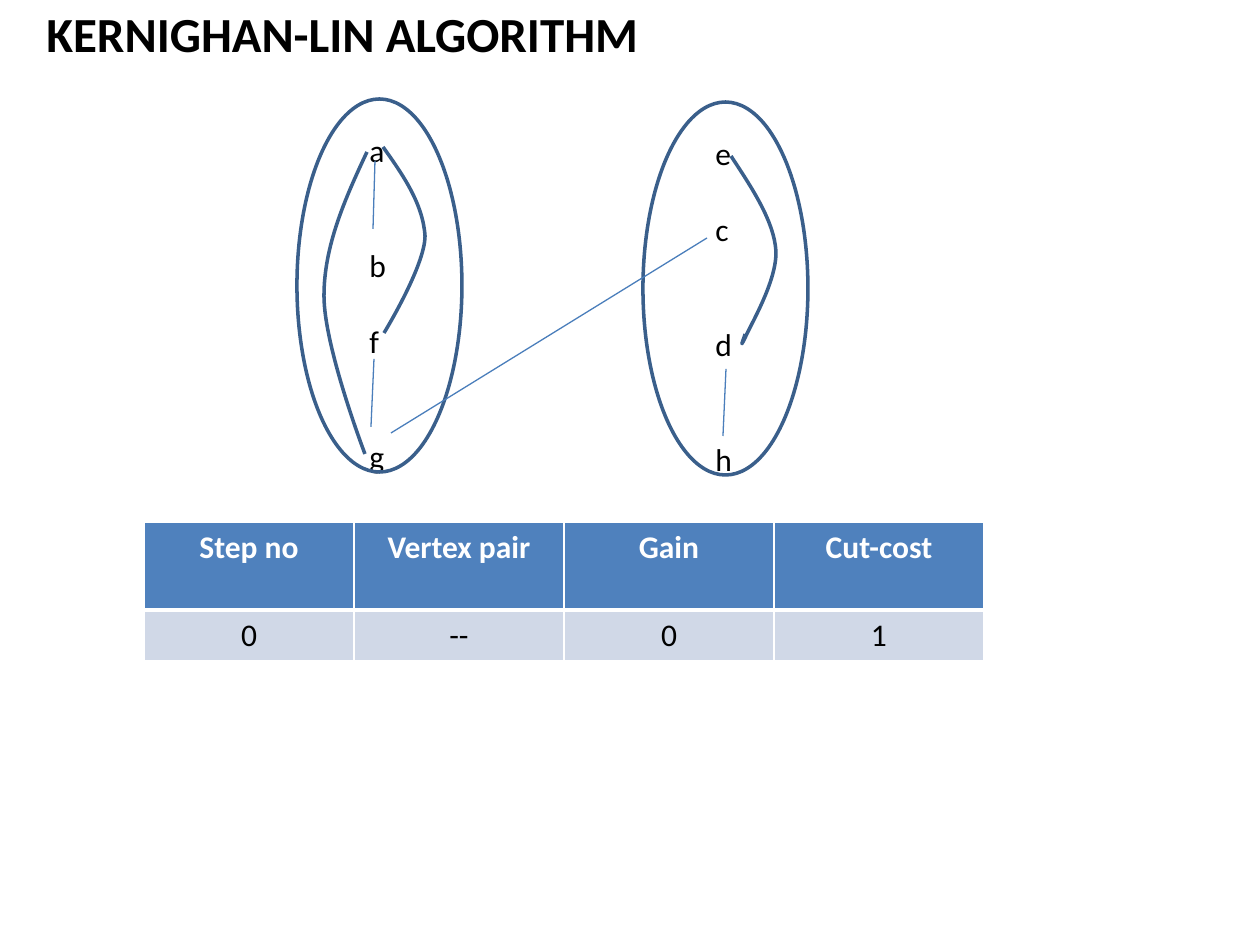
from typing import NamedTuple

from lxml.etree import SubElement
from pptx import Presentation
from pptx.dml.color import RGBColor as RGB
from pptx.enum.shapes import MSO_CONNECTOR as CONN, MSO_SHAPE as SHAPE
from pptx.enum.text import MSO_AUTO_SIZE as AUTO, PP_ALIGN as ALIGN
from pptx.oxml import parse_xml
from pptx.oxml.ns import nsdecls, qn
from pptx.util import Emu, Pt

EMU_PER_PX = 914400 / 126
LINE_PT = 22  # height of one 18 pt line
COLORS = {
    "text": "000000",
    "white": "FFFFFF",
    "head": "4F81BD",
    "body": "D0D8E7",
    "outline": "3A5F8B",
    "edge": "4A7EBB",
}


class Partition(NamedTuple):
    x: int
    y: int
    vertices: list[tuple[str, int]]  # letter, empty lines above it


class Edge(NamedTuple):
    x1: int
    y1: int
    x2: int
    y2: int


class Curve(NamedTuple):
    start: tuple[int, int]
    points: list[tuple[int, int]]  # two controls and an end per segment


PARTITIONS = [
    Partition(297, 99, [("a", 0), ("b", 2), ("f", 1), ("g", 2)]),
    Partition(643, 102, [("e", 0), ("c", 1), ("d", 2), ("h", 2)]),
]
EDGES = [
    Edge(391, 433, 707, 238),  # g-c
    Edge(375, 161, 373, 229),  # a-b
    Edge(374, 359, 371, 427),  # f-g
    Edge(726, 369, 723, 436),  # d-h
]
CURVES = [
    Curve((367, 152), [(345, 199), (324, 246), (324, 296),
                       (324, 347), (365, 454), (365, 454)]),  # a-g
    Curve((731, 156), [(752, 188), (774, 221), (776, 251),
                       (777, 281), (751, 324), (745, 338),
                       (738, 352), (745, 336), (745, 334)]),  # e-d
    Curve((383, 147), [(403, 175), (423, 204), (425, 236),
                       (425, 266), (384, 333), (384, 333)]),  # a-f
]
ROWS = [
    ["Step no", "Vertex pair", "Gain", "Cut-cost"],
    ["0", "--", "0", "1"],
]


def px(n: int) -> Emu:
    return Emu(round(n * EMU_PER_PX))


def color(name: str) -> RGB:
    return RGB.from_string(COLORS[name])


def write(p, text: str, *, size=18, fill="text", bold=False, align=None, before=0) -> None:
    p.alignment = align
    p.space_before = Pt(before)
    r = p.add_run()
    r.text = text
    r.font.name = "Calibri"
    r.font.size = Pt(size)
    r.font.bold = bold
    r.font.color.rgb = color(fill)


def text_frame(s, x: int, y: int, w: int, h: int):
    tf = s.shapes.add_textbox(px(x), px(y), px(w), px(h)).text_frame
    tf.word_wrap = True
    tf.auto_size = AUTO.SHAPE_TO_FIT_TEXT
    return tf


def outline(sp) -> None:
    sp.shadow.inherit = False
    sp.fill.background()
    sp.line.color.rgb = color("outline")
    sp.line.width = Pt(2)


def draw_letters(s, part: Partition) -> None:
    tf = text_frame(s, part.x + 60, part.y + 26, 49, 353)
    for i, (letter, gap) in enumerate(part.vertices):
        p = tf.add_paragraph() if i else tf.paragraphs[0]
        write(p, letter, before=gap * LINE_PT)


def draw_ellipse(s, part: Partition) -> None:
    outline(s.shapes.add_shape(SHAPE.OVAL, px(part.x), px(part.y), px(165), px(373)))


def draw_edge(s, edge: Edge) -> None:
    cn = s.shapes.add_connector(CONN.STRAIGHT, *map(px, edge))
    cn.line.color.rgb = color("edge")
    cn.line.width = Pt(0.75)
    SubElement(cn._element.spPr, qn("a:effectLst"))


def draw_curve(s, curve: Curve) -> None:
    fb = s.shapes.build_freeform(*curve.start, scale=EMU_PER_PX)
    fb.add_line_segments(curve.points, close=False)
    sp = fb.convert_to_shape()
    # Turn each three straight steps into one Bezier segment
    steps = list(sp._element.iter(qn("a:lnTo")))
    for i in range(0, len(steps), 3):
        bezier = SubElement(steps[i].getparent(), qn("a:cubicBezTo"))
        for step in steps[i:i + 3]:
            bezier.append(step[0])
            step.getparent().remove(step)
    outline(sp)


def set_borders(cell, top: float, bottom: float) -> None:
    tc_pr = cell._tc.get_or_add_tcPr()
    widths = {"L": 0.96, "R": 0.96, "T": top, "B": bottom}
    for i, (side, width) in enumerate(widths.items()):
        tc_pr.insert(i, parse_xml(
            f'<a:ln{side} {nsdecls("a")} w="{Pt(width)}"><a:solidFill>'
            f'<a:srgbClr val="{COLORS["white"]}"/></a:solidFill></a:ln{side}>'))


def draw_table(s) -> None:
    table = s.shapes.add_table(2, 4, px(144), px(522), px(840), px(138)).table
    table.horz_banding = False
    for col in table.columns:
        col.width = px(210)
    for row, height in zip(table.rows, (88, 50)):
        row.height = px(height)
    for i, texts in enumerate(ROWS):
        head = i == 0
        for j, text in enumerate(texts):
            cell = table.cell(i, j)
            cell.fill.solid()
            cell.fill.fore_color.rgb = color("head" if head else "body")
            set_borders(cell, *((0.96, 3) if head else (3, 0.96)))
            write(cell.text_frame.paragraphs[0], text, bold=head,
                  fill="white" if head else "text", align=ALIGN.CENTER)


def main() -> None:
    prs = Presentation()
    prs.slide_width, prs.slide_height = px(1260), px(945)
    s = prs.slides.add_slide(prs.slide_layouts[6])

    # Title and step table
    title = text_frame(s, 34, -3, 1018, 72)
    write(title.paragraphs[0], "KERNIGHAN-LIN ALGORITHM", size=28, bold=True)
    draw_table(s)

    # Graph split in two partitions
    for part in PARTITIONS:
        draw_letters(s, part)
    for part in PARTITIONS:
        draw_ellipse(s, part)
    for edge in EDGES:
        draw_edge(s, edge)
    for curve in CURVES:
        draw_curve(s, curve)

    prs.save("out.pptx")


if __name__ == "__main__":
    main()
